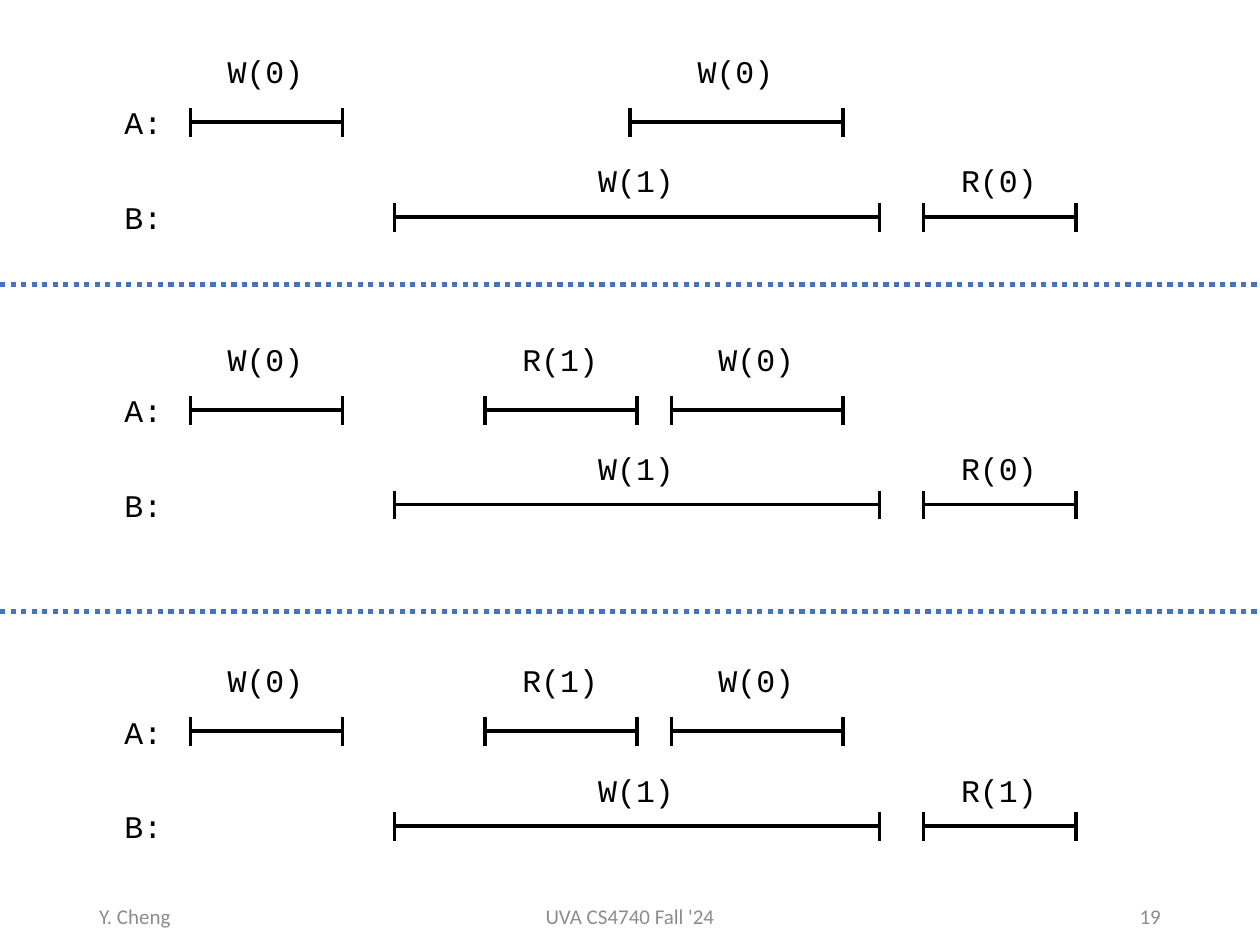
import pptx
import pptx.util
import pptx.dml.color
import pptx.enum.dml
import pptx.enum.shapes
import pptx.enum.text
import pptx.oxml.ns
import lxml.etree

Cm = pptx.util.Cm
Align = pptx.enum.text.PP_ALIGN

COLORS = {"ink": "000000", "divider": "4472C4", "footer": "8C8C8C"}
SLIDE_WIDTH, SLIDE_HEIGHT = 25.4, 19.05

# Start and end of each operation along the time axis, in cm
FIRST_WRITE = (3.84, 6.9)
EARLY_READ = (9.78, 12.84)
LONG_WRITE = (7.95, 17.73)
WIDE_WRITE = (12.7, 16.99)
SHORT_WRITE = (13.54, 16.99)
LAST_READ = (18.62, 21.69)

# Height of process A's line, then the operations of each process
HISTORIES = [
    (2.46, {"A:": [("W(0)", FIRST_WRITE), ("W(0)", WIDE_WRITE)],
            "B:": [("W(1)", LONG_WRITE), ("R(0)", LAST_READ)]}),
    (8.26, {"A:": [("W(0)", FIRST_WRITE), ("R(1)", EARLY_READ), ("W(0)", SHORT_WRITE)],
            "B:": [("W(1)", LONG_WRITE), ("R(0)", LAST_READ)]}),
    (14.74, {"A:": [("W(0)", FIRST_WRITE), ("R(1)", EARLY_READ), ("W(0)", SHORT_WRITE)],
             "B:": [("W(1)", LONG_WRITE), ("R(1)", LAST_READ)]}),
]
DIVIDERS = [5.74, 12.32]
FOOTERS = [
    ("Y. Cheng", 1.75, 5.72, Align.LEFT),
    ("UVA CS4740 Fall '24", 8.41, 8.58, Align.CENTER),
    ("19", 17.93, 5.72, Align.RIGHT),
]

PROCESS_GAP = 1.91
LABEL_RISE = {"A:": 1.54, "B:": 1.24}
NAME_LEFT, NAME_WIDTH, NAME_RISE = 2.26, 1.27, 0.5
LABEL_WIDTH, TEXT_HEIGHT = 2.06, 1.02
TICK_UP, TICK_DOWN = 0.28, 0.3


def add_text(slide, text, left, top, width, font, size, color, align=Align.LEFT):
    box = slide.shapes.add_textbox(Cm(left), Cm(top), Cm(width), Cm(TEXT_HEIGHT))
    para = box.text_frame.paragraphs[0]
    para.alignment = align
    span = para.add_run()
    span.text = text
    span.font.name = font
    span.font.size = pptx.util.Pt(size)
    span.font.color.rgb = pptx.dml.color.RGBColor.from_string(COLORS[color])
    return box.text_frame


def add_label(slide, text, left, top, width):
    frame = add_text(slide, text, left, top, width, "Courier New", 18, "ink")
    frame.word_wrap = False
    frame.auto_size = pptx.enum.text.MSO_AUTO_SIZE.SHAPE_TO_FIT_TEXT


def add_line(shapes, start, end, color="ink", weight=2):
    line = shapes.add_connector(pptx.enum.shapes.MSO_CONNECTOR.STRAIGHT,
                                *map(Cm, start + end))
    line.line.color.rgb = pptx.dml.color.RGBColor.from_string(COLORS[color])
    line.line.width = pptx.util.Pt(weight)
    lxml.etree.SubElement(line._element.spPr, pptx.oxml.ns.qn("a:effectLst"))
    return line


def add_operation(slide, text, start, end, y, rise):
    """Draw a labelled time interval with a tick at both ends."""
    interval = slide.shapes.add_group_shape()
    add_line(interval.shapes, (start, y), (end, y))
    for x in (start, end):
        add_line(interval.shapes, (x, y - TICK_UP), (x, y + TICK_DOWN))
    add_label(slide, text, (start + end - LABEL_WIDTH) / 2, y - rise, LABEL_WIDTH)


def main():
    deck = pptx.Presentation()
    deck.slide_width, deck.slide_height = Cm(SLIDE_WIDTH), Cm(SLIDE_HEIGHT)
    slide = deck.slides.add_slide(deck.slide_layouts.get_by_name("Blank"))

    for text, left, width, align in FOOTERS:
        frame = add_text(slide, text, left, 17.96, width, "Calibri", 12, "footer", align)
        frame.word_wrap = True
        frame.vertical_anchor = pptx.enum.text.MSO_ANCHOR.MIDDLE

    for top_line, processes in HISTORIES:
        for row, (name, operations) in enumerate(processes.items()):
            y = top_line + row * PROCESS_GAP
            add_label(slide, name, NAME_LEFT, y - NAME_RISE, NAME_WIDTH)
            for text, (start, end) in operations:
                add_operation(slide, text, start, end, y, LABEL_RISE[name])

    for y in DIVIDERS:
        divider = add_line(slide.shapes, (0, y), (SLIDE_WIDTH, y), "divider", 3)
        divider.line.dash_style = pptx.enum.dml.MSO_LINE.ROUND_DOT

    deck.save("out.pptx")


if __name__ == "__main__":
    main()
